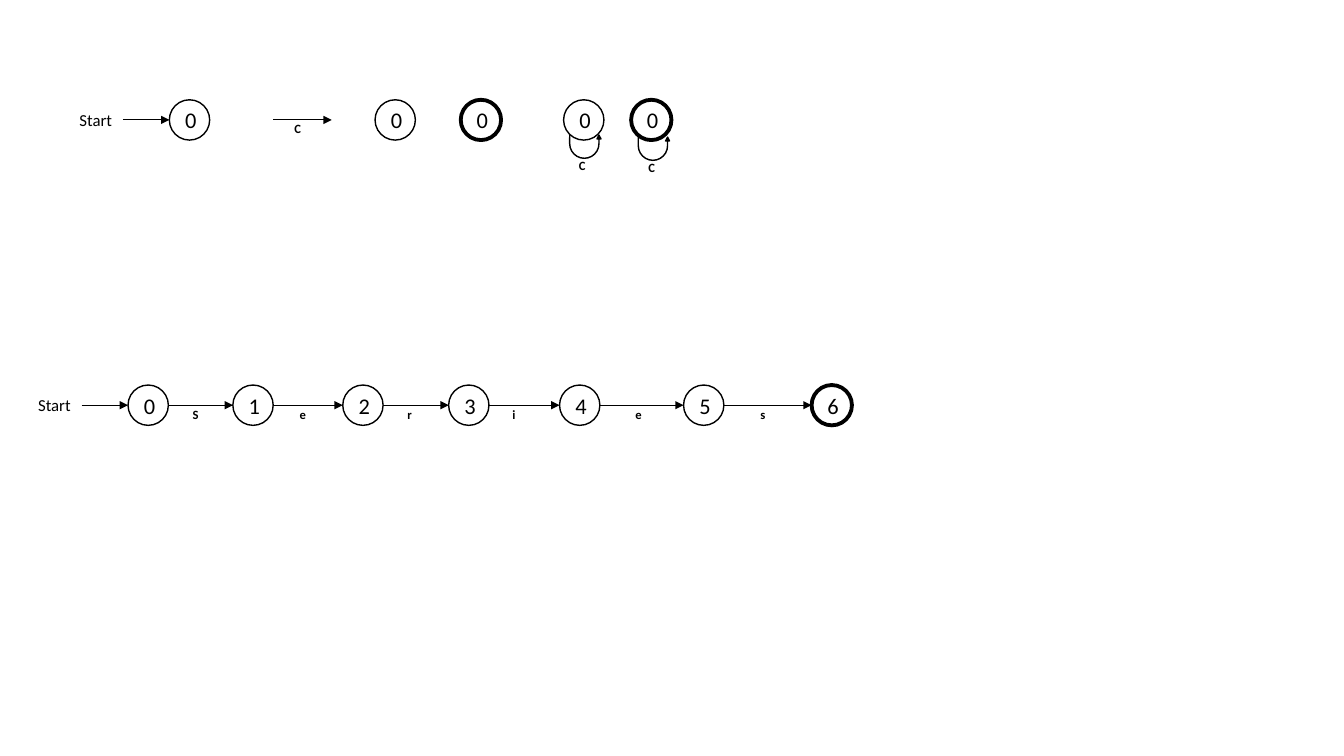
from lxml import etree
from pptx import Presentation
from pptx.dml.color import RGBColor
from pptx.enum import shapes as sh, text as tx
from pptx.oxml import ns
from pptx.util import Inches, Pt

BLACK = RGBColor(0, 0, 0)
SIZE = 0.4      # circle diameter
THIN, BOLD = 1, 2.75
ADJ = [0, 0.085, 0.164, 0.717, 1]


def write(shape, words, **fmt):
    run = shape.text_frame.paragraphs[0].add_run()
    run.text = words
    run.font.color.rgb = BLACK
    for key, val in {"name": "Calibri", **fmt}.items():
        setattr(run.font, key, val)


def label(slide, words, x, y, w, h, **fmt):
    box = slide.shapes.add_textbox(*map(Inches, (x, y, w, h)))
    box.text_frame.word_wrap = False
    write(box, words, **fmt)


def letter(slide, words, x, y):
    label(slide, words, x, y, 0.16, 0.25, size=Pt(9), bold=True)


def state(slide, name, x, mid, width=THIN):
    ring = slide.shapes.add_shape(sh.MSO_SHAPE.OVAL, Inches(x),
                                  Inches(mid - SIZE / 2), Inches(SIZE), Inches(SIZE))
    ring.shadow.inherit = False
    ring.fill.background()
    ring.line.color.rgb = BLACK
    ring.line.width = Pt(width)
    ring.text_frame.vertical_anchor = tx.MSO_ANCHOR.MIDDLE
    ring.text_frame.paragraphs[0].alignment = tx.PP_ALIGN.CENTER
    write(ring, name, size=Pt(16))


def arrow(slide, x, end, mid):
    link = slide.shapes.add_connector(sh.MSO_CONNECTOR.STRAIGHT, Inches(x),
                                      Inches(mid), Inches(end), Inches(mid))
    link.line.color.rgb = BLACK
    link.line.width = Pt(0.75)
    tip = etree.SubElement(link.line._get_or_add_ln(), ns.qn("a:tailEnd"))
    tip.set("type", "triangle")
    etree.SubElement(link._element.spPr, ns.qn("a:effectLst"))


def start(slide, x, mid):
    """Start label, arrow and first state."""
    label(slide, "Start", x, mid - 0.15, 0.53, 0.3, size=Pt(12))
    arrow(slide, x + 0.53, x + 0.99, mid)
    state(slide, "0", x + 0.99, mid)


def loop(slide, x, mid, width, dx, dy, gap):
    """State with a self-loop below it."""
    state(slide, "0", x, mid, width)
    turn = slide.shapes.add_shape(sh.MSO_SHAPE.U_TURN_ARROW, Inches(x + dx),
                                  Inches(mid + dy), Inches(0.31), Inches(0.23))
    turn.shadow.inherit = False
    for i, val in enumerate(ADJ):
        turn.adjustments[i] = val
    turn.rotation = 180
    turn._element.spPr.find(ns.qn("a:xfrm")).set("flipH", "1")
    turn.fill.solid()
    turn.fill.fore_color.rgb = turn.line.color.rgb = BLACK
    turn.line.width = Pt(THIN)
    letter(slide, "C", x + gap, mid + dy + 0.175)


def legend(slide, x, mid):
    """Row of the building blocks."""
    start(slide, x, mid)
    arrow(slide, x + 2.02, x + 2.6, mid)
    letter(slide, "C", x + 2.17, mid - 0.04)
    state(slide, "0", x + 3.03, mid)
    state(slide, "0", x + 3.88, mid, BOLD)
    loop(slide, x + 4.9, mid, THIN, 0.06, 0.15, 0.09)
    loop(slide, x + 5.57, mid, BOLD, 0.07, 0.17, 0.11)


def chain(slide, x, mid, steps):
    """Automaton that reads one word; a step is (letter, letter x, state x)."""
    start(slide, x, mid)
    left = x + 0.99
    for i, (char, at, right) in enumerate(steps, 1):
        arrow(slide, left + SIZE, x + right, mid)
        letter(slide, char, x + at, mid - 0.035)
        state(slide, str(i), x + right, mid, BOLD if i == len(steps) else THIN)
        left = x + right


STEPS = [("S", 1.57, 2.03), ("e", 2.63, 3.12), ("r", 3.7, 4.17),
         ("i", 4.74, 5.27), ("e", 5.96, 6.5), ("s", 7.2, 7.77)]

deck = Presentation()
deck.slide_width, deck.slide_height = Inches(13.33), Inches(7.5)
page = deck.slides.add_slide(deck.slide_layouts[6])
legend(page, 0.69, 1.19)
chain(page, 0.28, 4.02, STEPS)
deck.save("out.pptx")
